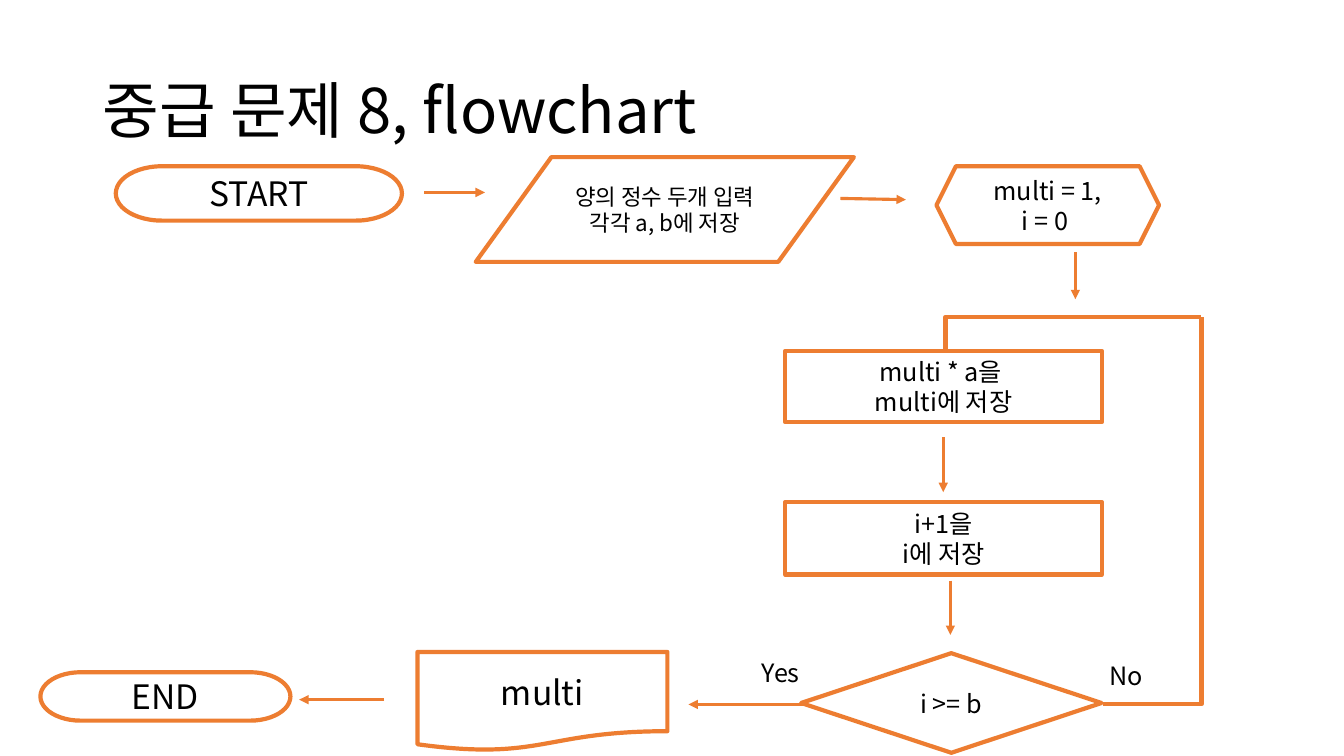
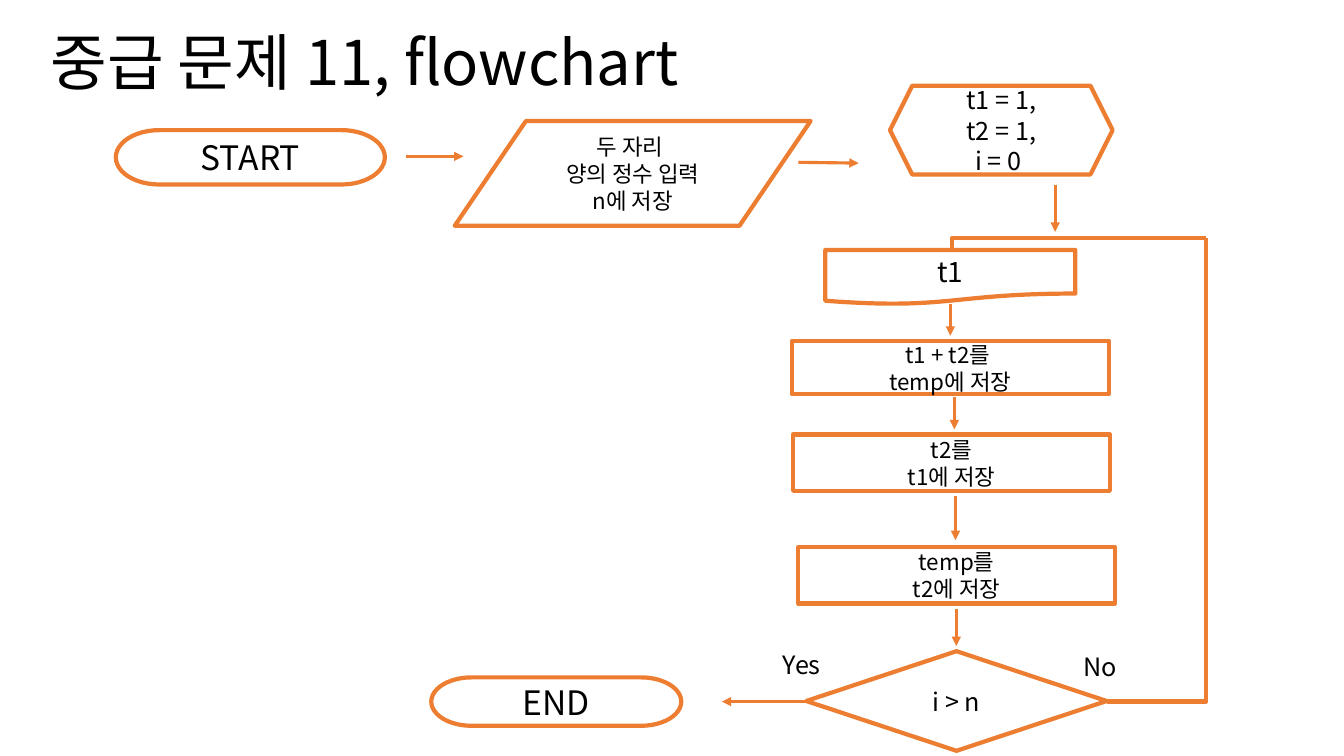
from pptx import Presentation
from pptx import util as u
from pptx.dml.color import RGBColor
from pptx.enum import shapes, text
from pptx.oxml.ns import qn
from lxml import etree

FONT = "Noto Sans CJK KR"
ORANGE, WHITE, BLACK = "ED7D31", "FFFFFF", "000000"
MSO = shapes.MSO_SHAPE
CENTER, LEFT = text.PP_ALIGN.CENTER, text.PP_ALIGN.LEFT
KINDS = {
    "terminal": MSO.FLOWCHART_TERMINATOR,
    "input": MSO.FLOWCHART_DATA,
    "prepare": MSO.HEXAGON,
    "process": MSO.RECTANGLE,
    "decision": MSO.FLOWCHART_DECISION,
    "output": MSO.FLOWCHART_DOCUMENT,
}
TITLE_SIZE = (29.21, 3.68)

# Content, lengths in cm
# steps: kind, left, top, width, height, font size, lines
# labels: left, top, width, word; arrows: x1, y1, x2, y2
# loop: start x, start y, right side, top side, entry x, entry y
FLOWCHARTS = [
    {
        "title": ("중급 문제 8, flowchart", 2.34, 1.02),
        "steps": [
            ("terminal", 2.92, 4.19, 7.21, 1.37, 24, ["START"]),
            ("input", 11.99, 3.96, 9.53, 2.64, 16, ["양의 정수 두개 입력", "각각 a, b에 저장"]),
            ("prepare", 23.6, 4.19, 5.61, 1.96, 18, ["multi = 1,", "i = 0 "]),
            ("process", 19.79, 8.84, 7.98, 1.8, 18, ["multi * a을 ", "multi에 저장"]),
            ("process", 19.79, 12.65, 7.98, 1.83, 18, ["i+1을", "i에 저장"]),
            ("decision", 20.19, 16.46, 7.57, 2.51, 18, ["i >= b"]),
            ("output", 10.52, 16.43, 6.3, 2.49, 24, ["multi"]),
            ("terminal", 1.02, 16.94, 6.3, 1.22, 24, ["END"]),
        ],
        "labels": [(18.95, 16.43, 1.78, "Yes"), (27.71, 16.51, 1.7, "No")],
        "arrows": [
            (10.69, 4.85, 12.22, 4.85), (21.18, 5, 22.83, 5.03),
            (27.1, 6.35, 27.1, 7.54), (23.77, 11.02, 23.77, 12.4),
            (23.95, 14.63, 23.95, 16), (20.29, 17.75, 17.35, 17.75),
            (9.68, 17.63, 7.54, 17.63),
        ],
        "loop": (27.79, 17.75, 30.28, 7.98, 23.83, 9.2),
    },
    {
        "title": ("중급 문제 11, flowchart", 1.02, -0.18),
        "steps": [
            ("terminal", 2.92, 3.28, 6.78, 1.37, 24, ["START"]),
            ("input", 11.46, 3.05, 8.97, 2.64, 16, ["두 자리 ", "양의 정수 입력", "n에 저장"]),
            ("prepare", 22.43, 2.16, 5.61, 2.24, 18, ["t1 = 1,", "t2 = 1,", "i = 0 "]),
            ("output", 20.8, 6.3, 6.3, 1.37, 20, ["t1"]),
            ("process", 19.96, 8.59, 7.98, 1.35, 16, ["t1 + t2를 ", "temp에 저장"]),
            ("process", 19.99, 10.95, 7.98, 1.42, 16, ["t2를", "t1에 저장"]),
            ("process", 20.12, 13.79, 7.98, 1.42, 16, ["temp를", "t2에 저장"]),
            ("decision", 20.32, 16.41, 7.57, 2.51, 18, ["i > n"]),
            ("terminal", 10.87, 17.07, 6.3, 1.22, 24, ["END"]),
        ],
        "labels": [(19.48, 16.23, 1.78, "Yes"), (27.05, 16.28, 1.7, "No")],
        "arrows": [
            (10.24, 3.94, 11.68, 3.94), (20.12, 4.09, 21.64, 4.11),
            (26.59, 4.65, 26.59, 5.84), (23.95, 7.65, 23.95, 8.46),
            (24.05, 10.01, 24.05, 10.82), (24.08, 12.5, 24.08, 13.61),
            (24.1, 15.34, 24.1, 16.28), (20.32, 17.68, 18.19, 17.68),
        ],
        "loop": (27.89, 17.68, 30.4, 6, 24.0, 6.8),
    },
]


def rgb(code):
    return RGBColor.from_string(code)


def cm(*values):
    return [u.Cm(v) for v in values]


def write(tf, lines, size, align):
    for i, line in enumerate(lines):
        p = tf.paragraphs[0] if i == 0 else tf.add_paragraph()
        p.alignment = align
        r = p.add_run()
        r.text = line
        r.font.size, r.font.name = u.Pt(size), FONT
        r.font.color.rgb = rgb(BLACK)
        etree.SubElement(r.font._element, qn("a:ea")).set("typeface", FONT)


def add_title(s, title, left, top):
    sp = s.shapes.title
    sp.left, sp.top, sp.width, sp.height = cm(left, top, *TITLE_SIZE)
    tf = sp.text_frame
    tf.auto_size = text.MSO_AUTO_SIZE.NONE
    tf.vertical_anchor = text.MSO_ANCHOR.MIDDLE
    write(tf, [title], 44, LEFT)
    tf.paragraphs[0].line_spacing = 0.9


def add_step(s, kind, left, top, width, height, size, lines):
    sp = s.shapes.add_shape(KINDS[kind], *cm(left, top, width, height))
    sp.shadow.inherit = False
    sp.fill.solid()
    sp.fill.fore_color.rgb = rgb(WHITE)
    sp.line.color.rgb = rgb(ORANGE)
    sp.line.width = u.Pt(3)
    sp.text_frame.vertical_anchor = text.MSO_ANCHOR.MIDDLE
    write(sp.text_frame, lines, size, CENTER)


def add_label(s, left, top, width, word):
    sp = s.shapes.add_textbox(*cm(left, top, width, 1.02))
    sp.fill.solid()
    sp.fill.fore_color.rgb = rgb(WHITE)
    sp.text_frame.word_wrap = False
    write(sp.text_frame, [word], 18, LEFT)


def add_line(s, ends, width, kind=shapes.MSO_CONNECTOR.STRAIGHT):
    c = s.shapes.add_connector(kind, *cm(*ends))
    c.line.color.rgb = rgb(ORANGE)
    c.line.width = u.Pt(width)
    etree.SubElement(c._element.spPr, qn("a:effectLst"))
    return c


def add_arrow(s, ends):
    ln = add_line(s, ends, 2.25).line._get_or_add_ln()
    etree.SubElement(ln, qn("a:tailEnd")).set("type", "triangle")


def add_loop(s, x, y, right, top, entry_x, entry_y):
    # Each half runs sideways first, then turns once
    for ends in ((x, y, right, top), (right, top, entry_x, entry_y)):
        c = add_line(s, ends, 3, shapes.MSO_CONNECTOR.ELBOW)
        c._element.spPr.find(qn("a:prstGeom")).set("prst", "bentConnector2")


def main():
    prs = Presentation()
    prs.slide_width, prs.slide_height = cm(33.87, 19.05)
    for chart in FLOWCHARTS:
        s = prs.slides.add_slide(prs.slide_layouts[5])
        add_title(s, *chart["title"])
        # The loop goes behind the step it returns to
        add_loop(s, *chart["loop"])
        for step in chart["steps"]:
            add_step(s, *step)
        for label in chart["labels"]:
            add_label(s, *label)
        for ends in chart["arrows"]:
            add_arrow(s, ends)
    prs.save("out.pptx")


if __name__ == "__main__":
    main()
